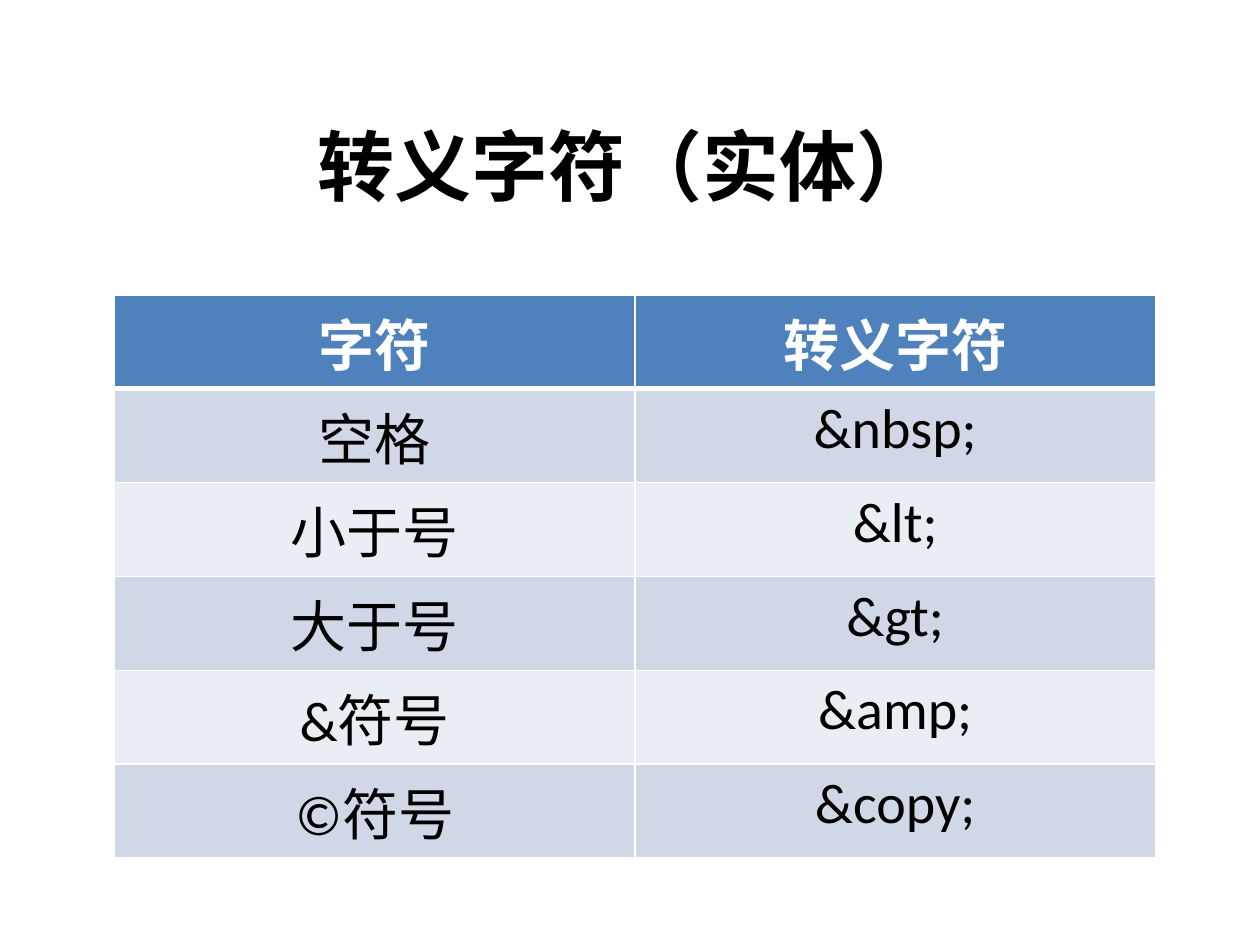
from lxml import etree
from pptx import Presentation, util as u
from pptx.dml.color import RGBColor
from pptx.enum import text
from pptx.oxml import ns

HUES = {"ink": "000000", "head": "4F81BD", "light": "FFFFFF",
        "odd": "D0D8E8", "even": "E9EDF4"}
ROWS = [
    ("字符", "转义字符"),
    ("空格", "&nbsp;"),
    ("小于号", "&lt;"),
    ("大于号", "&gt;"),
    ("&符号", "&amp;"),
    ("©符号", "&copy;"),
]


def write(frame, words, face, size, hue, bold):
    line = frame.paragraphs[0]
    line.text = words
    line.alignment = text.PP_ALIGN.CENTER
    line.font.name = face
    line.font.size = u.Pt(size)
    line.font.bold = bold
    line.font.color.rgb = RGBColor.from_string(HUES[hue])


def edge(cell, sides):
    props = cell._tc.get_or_add_tcPr()
    for spot, (side, width) in enumerate(sides):
        line = etree.Element(ns.qn("a:ln" + side), w=str(u.Pt(width)))
        fill = etree.SubElement(line, ns.qn("a:solidFill"))
        etree.SubElement(fill, ns.qn("a:srgbClr"), val=HUES["light"])
        props.insert(spot, line)


deck = Presentation()
deck.slide_width, deck.slide_height = u.Inches(10), u.Inches(7.5)
slide = deck.slides.add_slide(deck.slide_layouts[6])

# Title
title = slide.shapes.add_textbox(
    u.Inches(0.47), u.Inches(0.68), u.Inches(9), u.Inches(1.25)).text_frame
title.word_wrap = True
title.vertical_anchor = text.MSO_ANCHOR.MIDDLE
write(title, "转义字符（实体）", "Noto Sans Mono", 44, "ink", True)

# Entity table, with a heavier rule under the header
table = slide.shapes.add_table(
    len(ROWS), 2, u.Inches(0.91), u.Inches(2.34),
    u.Inches(8.26), u.Inches(4.47)).table
for r, row in enumerate(ROWS):
    head = r == 0
    fill = "head" if head else "odd" if r % 2 else "even"
    for c, words in enumerate(row):
        cell = table.cell(r, c)
        cell.fill.solid()
        cell.fill.fore_color.rgb = RGBColor.from_string(HUES[fill])
        edge(cell, [("L", 1), ("R", 1), ("T", 3 if r == 1 else 1),
                    ("B", 3 if head else 1)])
        write(cell.text_frame, words, "Calibri", 32,
              "light" if head else "ink", head)

deck.save("out.pptx")
